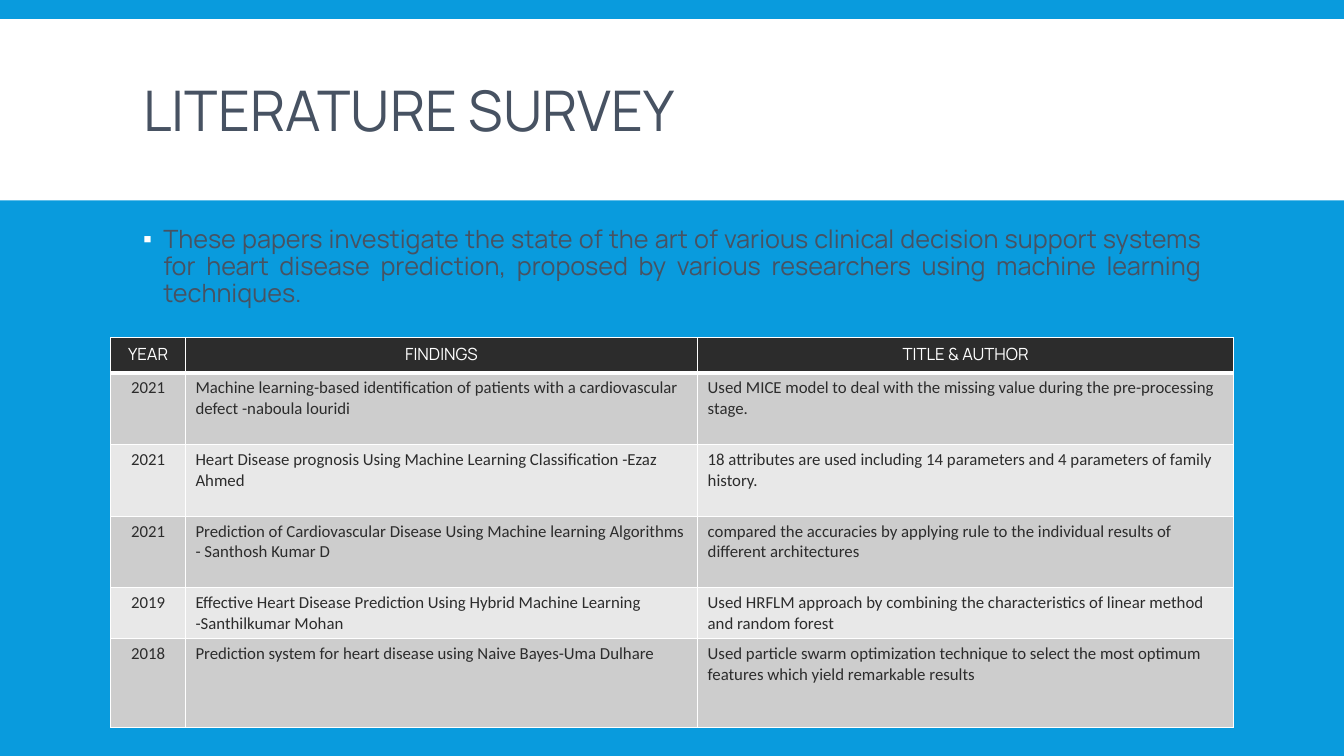
from lxml import etree
from pptx import Presentation
from pptx.dml.color import RGBColor
from pptx.enum.shapes import MSO_SHAPE as Shape
from pptx.enum.text import MSO_ANCHOR as Anchor, MSO_AUTO_SIZE as AutoSize, PP_ALIGN as Align
from pptx.oxml import parse_xml
from pptx.oxml.ns import nsdecls, qn
from pptx.util import Inches, Pt

SLIDE_WIDTH, SLIDE_HEIGHT = Inches(13.33), Inches(7.5)
BLUE, WHITE, SLATE, CHARCOAL = "099BDD", "FFFFFF", "475262", "2C2C2C"
ROW_FILLS = "CDCDCD", "E8E8E8"
HEADING_FONT, TABLE_FONT = "Manrope", "Calibri"

INTRO = (
    "These papers investigate the state of the art of various clinical decision "
    "support systems for heart disease prediction, proposed by various researchers "
    "using machine learning techniques."
)
HEADERS = ("YEAR", "FINDINGS", "TITLE & AUTHOR")
PAPERS = [
    ("2021",
     "Machine learning-based identification of patients with a cardiovascular defect -naboula louridi",
     "Used MICE model to deal with the missing value during the pre-processing stage."),
    ("2021",
     "Heart Disease prognosis Using Machine Learning Classification -Ezaz Ahmed",
     "18 attributes are used including 14 parameters and 4 parameters of family history."),
    ("2021",
     "Prediction of Cardiovascular Disease Using Machine learning Algorithms - Santhosh Kumar D",
     "compared the accuracies by applying rule to the individual results of different architectures"),
    ("2019",
     "Effective Heart Disease Prediction Using Hybrid Machine Learning -Santhilkumar Mohan",
     "Used HRFLM approach by combining the characteristics of linear method and random forest"),
    ("2018",
     "Prediction system for heart disease using Naive Bayes-Uma Dulhare",
     "Used particle swarm optimization technique to select the most optimum features "
     "which yield remarkable results"),
]
# Percentages of the slide's width and height
COLUMN_SHARES = (5.55, 38.11, 39.9)
ROW_SHARES = (4.67, 9.47, 9.47, 9.47, 6.73, 11.73)


def across(percent):
    return round(SLIDE_WIDTH * percent / 100)


def down(percent):
    return round(SLIDE_HEIGHT * percent / 100)


def area(left, top, width, height):
    return across(left), down(top), across(width), down(height)


def paint(fill, color):
    fill.solid()
    fill.fore_color.rgb = RGBColor.from_string(color)


def style_font(paragraph, name, size, color):
    font = paragraph.font
    font.name, font.size = name, Pt(size)
    font.color.rgb = RGBColor.from_string(color)


def add_band(slide):
    band = slide.shapes.add_shape(Shape.RECTANGLE, *area(0, 2.53, 100, 24))
    paint(band.fill, WHITE)
    band.line.fill.background()
    band.shadow.inherit = False
    slide.shapes._spTree.insert(2, band._element)  # behind the placeholders


def fill_placeholder(placeholder, bounds, text, anchor, align, line_spacing):
    placeholder.left, placeholder.top, placeholder.width, placeholder.height = bounds
    frame = placeholder.text_frame
    frame.text = text
    frame.auto_size, frame.vertical_anchor = AutoSize.NONE, anchor
    paragraph = frame.paragraphs[0]
    paragraph.alignment, paragraph.line_spacing = align, line_spacing
    return paragraph


def add_bullet(paragraph, symbol, color, indent):
    properties = paragraph._p.get_or_add_pPr()
    properties.set("marL", str(indent))
    properties.set("indent", str(-indent))
    bullet_color = etree.SubElement(properties, qn("a:buClr"))
    etree.SubElement(bullet_color, qn("a:srgbClr"), val=color)
    etree.SubElement(properties, qn("a:buChar"), char=symbol)


def add_borders(cell, bottom_width):
    properties = cell._tc.get_or_add_tcPr()
    for index, (side, width) in enumerate(
            (("L", 1), ("R", 1), ("T", 1), ("B", bottom_width))):
        properties.insert(index, parse_xml(
            f'<a:ln{side} {nsdecls("a")} w="{Pt(width)}"><a:solidFill>'
            f'<a:srgbClr val="{WHITE}"/></a:solidFill></a:ln{side}>'))


def fill_cell(cell, text, fill, font, color, align, bottom_width=1):
    cell.text = text
    paragraph = cell.text_frame.paragraphs[0]
    paragraph.alignment = align
    style_font(paragraph, font, 12, color)
    paint(cell.fill, fill)
    add_borders(cell, bottom_width)


def add_survey_table(slide):
    bounds = area(8.25, 44.67, sum(COLUMN_SHARES), sum(ROW_SHARES))
    table = slide.shapes.add_table(len(ROW_SHARES), len(COLUMN_SHARES), *bounds).table
    for column, share in zip(table.columns, COLUMN_SHARES):
        column.width = across(share)
    for row, share in zip(table.rows, ROW_SHARES):
        row.height = down(share)

    for column, header in enumerate(HEADERS):
        fill_cell(table.cell(0, column), header, CHARCOAL, HEADING_FONT, WHITE,
                  Align.CENTER, bottom_width=3)
    for number, paper in enumerate(PAPERS):
        for column, text in enumerate(paper):
            fill_cell(table.cell(number + 1, column), text, ROW_FILLS[number % 2],
                      TABLE_FONT, CHARCOAL, Align.LEFT if column else Align.CENTER)


def main():
    deck = Presentation()
    deck.slide_width, deck.slide_height = SLIDE_WIDTH, SLIDE_HEIGHT
    slide = deck.slides.add_slide(deck.slide_layouts[1])
    paint(slide.background.fill, BLUE)
    add_band(slide)

    # Title
    heading = fill_placeholder(slide.shapes.title, area(9.9, 4.13, 80.25, 22),
                               "LITERATURE SURVEY", Anchor.MIDDLE, Align.LEFT, 0.85)
    style_font(heading, HEADING_FONT, 40, SLATE)

    # Introduction
    intro = fill_placeholder(slide.placeholders[1], area(9.9, 29.33, 80.25, 61.33),
                             INTRO, Anchor.TOP, Align.JUSTIFY, 0.9)
    intro.space_before, intro.space_after = Pt(12), Pt(2)
    add_bullet(intro, "▪", WHITE, across(1.5))
    style_font(intro, HEADING_FONT, 18, SLATE)

    # Surveyed papers
    add_survey_table(slide)
    deck.save("out.pptx")


if __name__ == "__main__":
    main()
